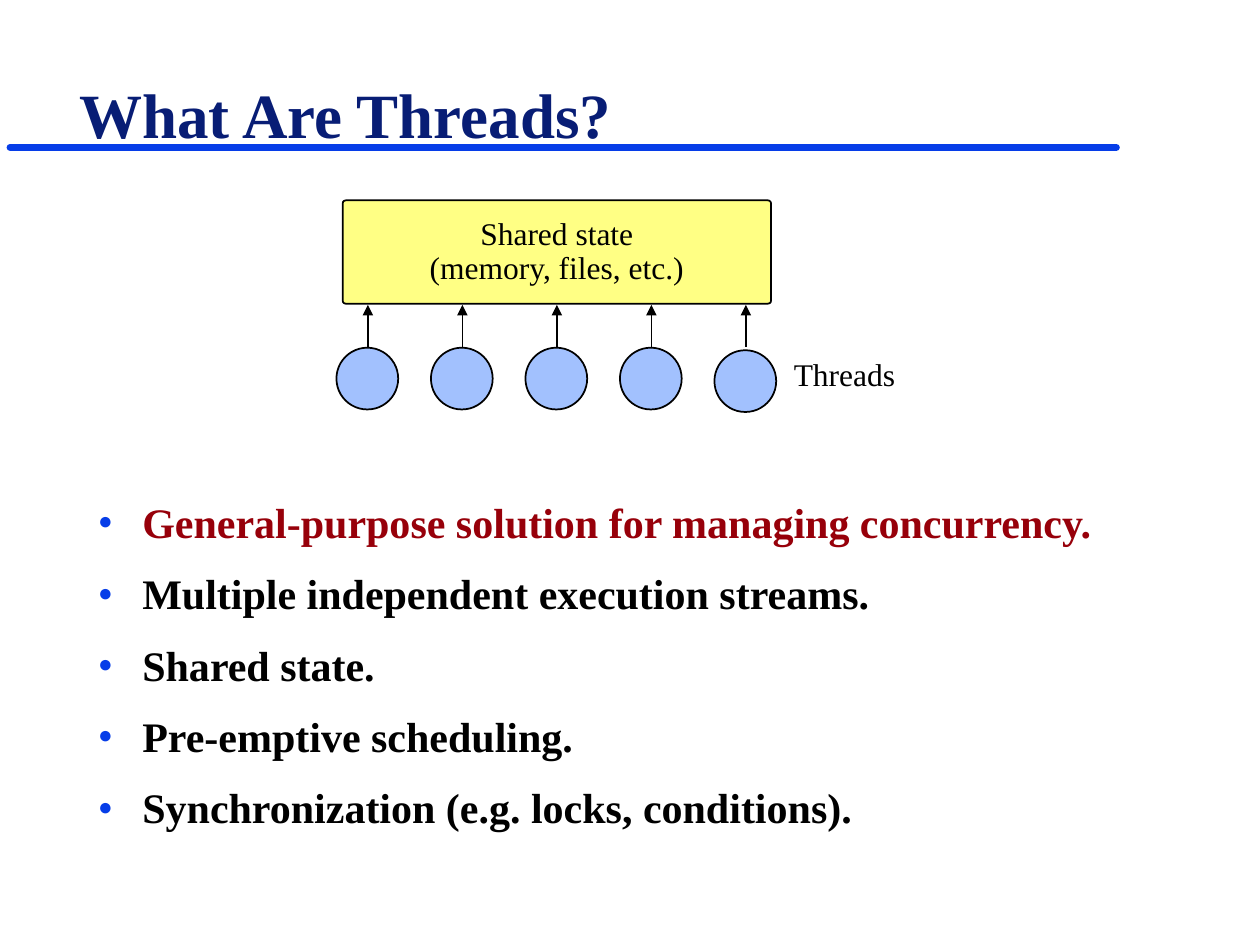
from lxml import etree
from pptx import Presentation
from pptx import util as u
from pptx.dml.color import RGBColor
from pptx.enum import shapes, text
from pptx.oxml.ns import qn

FONT = "Times New Roman"
BLACK, BLUE = "000000", "063DE8"
inch = u.Inches


def color(hex_string):
    return RGBColor.from_string(hex_string)


def write(shape, lines, size, ink, bold=False, anchor=text.MSO_ANCHOR.TOP):
    frame = shape.text_frame
    frame.text = "\n".join(lines)
    frame.word_wrap = True
    frame.auto_size = text.MSO_AUTO_SIZE.NONE
    frame.vertical_anchor = anchor
    frame.margin_left = frame.margin_right = inch(0.05)
    frame.margin_top = frame.margin_bottom = inch(0.05)
    for paragraph in frame.paragraphs:
        for run in paragraph.runs:
            run.font.name, run.font.size, run.font.bold = FONT, u.Pt(size), bold
            run.font.color.rgb = color(ink)
    return frame.paragraphs


presentation = Presentation()
presentation.slide_width, presentation.slide_height = inch(10), inch(7.5)
slide = presentation.slides.add_slide(presentation.slide_layouts[5])
canvas = slide.shapes

# Shared columns and thread grid
left, width = inch(0.58), inch(9)
first_center, pitch, diameter, thread_count = 2.92, 0.75, 0.49, 5
arrow_top, arrow_bottom = 2.42, 2.75

# Title
title = canvas.title
title.left, title.top, title.width, title.height = left, inch(0.04), width, inch(1.21)
heading = write(title, ["What Are Threads?"], 36, "081D75", True, text.MSO_ANCHOR.BOTTOM)
heading[0].alignment = text.PP_ALIGN.LEFT

# Rule under the title, then one arrow per thread
segments = [(0.08, 1.17, 8.86, 1.17, BLUE, 4)]
for column in range(thread_count):
    x = first_center + column * pitch
    segments.append((x, arrow_bottom, x, arrow_top, BLACK, 1))
for x1, y1, x2, y2, ink, weight in segments:
    connector = canvas.add_connector(
        shapes.MSO_CONNECTOR.STRAIGHT, inch(x1), inch(y1), inch(x2), inch(y2))
    connector.line.color.rgb = color(ink)
    connector.line.width = u.Pt(weight)
    line = connector.line._get_or_add_ln()
    if x1 == x2:
        etree.SubElement(line, qn("a:tailEnd"), type="triangle")
    else:
        line.set("cap", "rnd")
    etree.SubElement(connector._element.spPr, qn("a:effectLst"))

# Shared state box and thread circles
outlines = [(shapes.MSO_SHAPE.ROUNDED_RECTANGLE, 2.72, 1.59, 3.4, 0.82, "FFFF84")]
for column in range(thread_count):
    x = first_center - 0.25 + column * pitch
    y = 2.78 if column == thread_count - 1 else 2.76
    outlines.append((shapes.MSO_SHAPE.OVAL, x, y, diameter, diameter, "A2C1FE"))
for kind, x, y, w, h, fill in outlines:
    shape = canvas.add_shape(kind, inch(x), inch(y), inch(w), inch(h))
    shape.shadow.inherit = False
    shape.fill.solid()
    shape.fill.fore_color.rgb = color(fill)
    shape.line.color.rgb = color(BLACK)
    shape.line.width = u.Pt(1)
    if kind == shapes.MSO_SHAPE.ROUNDED_RECTANGLE:
        shape.adjustments[0] = 0.03
        state_lines = write(shape, ["Shared state", "(memory, files, etc.)"], 18, BLACK,
                            anchor=text.MSO_ANCHOR.MIDDLE)
        for paragraph in state_lines:
            paragraph.alignment = text.PP_ALIGN.CENTER
            paragraph.line_spacing = 0.9

# Thread label
label = canvas.add_textbox(inch(6.25), inch(2.77), inch(1.43), inch(0.38))
write(label, ["Threads"], 18, BLACK)

# Bullet list
body = canvas.add_textbox(left, inch(3.89), width, inch(3.27))
points = write(body, [
    "General-purpose solution for managing concurrency.",
    "Multiple independent execution streams.",
    "Shared state.",
    "Pre-emptive scheduling.",
    "Synchronization (e.g. locks, conditions).",
], 24, BLACK, True)
for index, paragraph in enumerate(points):
    if index:
        paragraph.space_before = u.Pt(12)
    properties = paragraph._p.get_or_add_pPr()
    properties.set("marL", str(inch(0.5)))
    properties.set("indent", str(inch(-0.35)))
    bullet_color = etree.SubElement(properties, qn("a:buClr"))
    etree.SubElement(bullet_color, qn("a:srgbClr"), val=BLUE)
    etree.SubElement(properties, qn("a:buSzPct"), val="58000")
    etree.SubElement(properties, qn("a:buFont"), typeface=FONT)
    etree.SubElement(properties, qn("a:buChar"), char="●")
points[0].runs[0].font.color.rgb = color("97000A")

presentation.save("out.pptx")
